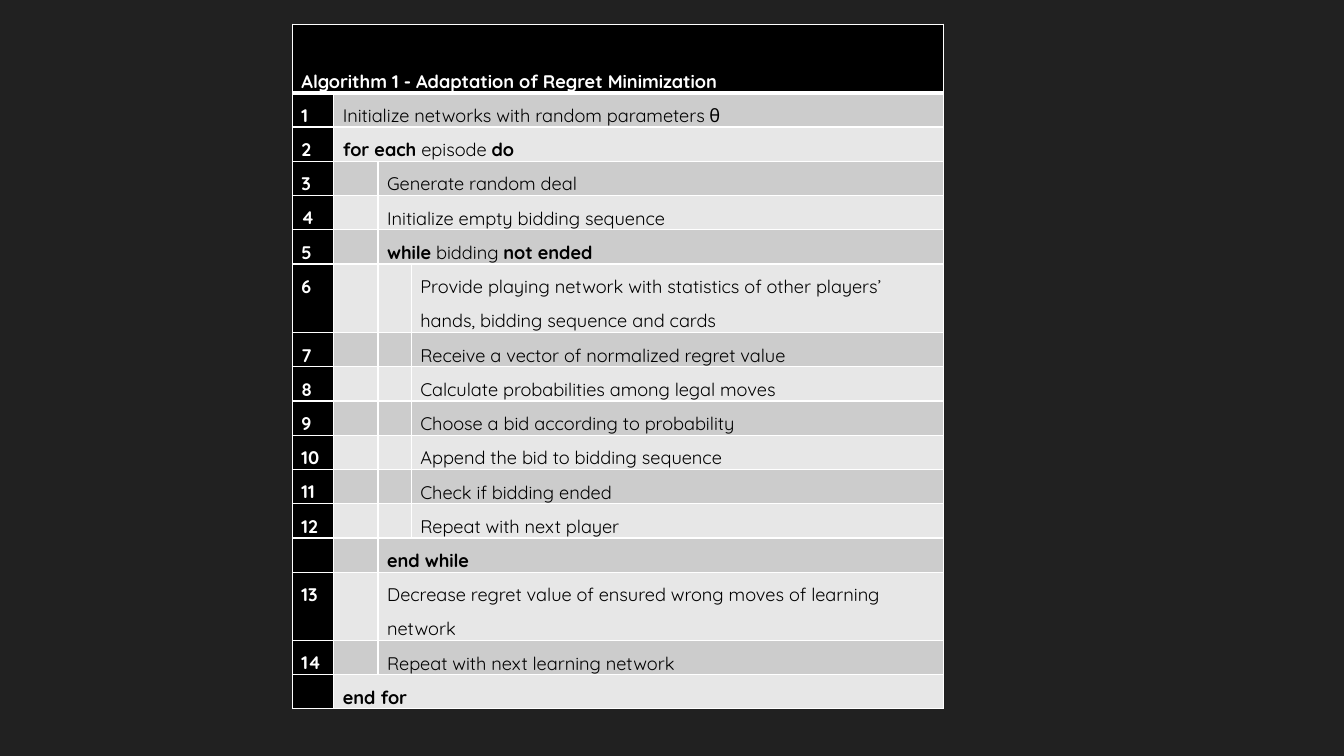
import pptx
import pptx.dml.color
import pptx.enum.text
import pptx.oxml
import pptx.oxml.ns
import pptx.util
from dataclasses import dataclass

Inches = pptx.util.Inches
ANCHOR = pptx.enum.text.MSO_ANCHOR


@dataclass(frozen=True)
class Theme:
    """Colours, font and sizes of the slide."""
    background: str = "212121"
    dark: str = "000000"
    light: str = "FFFFFF"
    bands: tuple = ("CCCCCC", "E7E7E7")
    font: str = "Quicksand"
    size: int = 13
    border: int = 1
    header_border: int = 3


THEME = Theme()
TITLE = "Algorithm 1 - Adaptation of Regret Minimization"
COLUMNS = (0.41, 0.44, 0.33, 5.28)
HEADER_HEIGHT, ROW_HEIGHT = 0.68, 0.34
TALL_ROWS = {6: 0.68, 14: 0.64}

# Each step: line number, indent depth, (text, bold) runs
STEPS = [
    ("1", 1, [("Initialize networks with random parameters θ", False)]),
    ("2", 1, [("for each ", True), ("episode ", False), ("do", True)]),
    ("3", 2, [("Generate random deal", False)]),
    ("4", 2, [("Initialize empty bidding sequence", False)]),
    ("5", 2, [("while", True), (" bidding ", False), ("not ended", True)]),
    ("6", 3, [("Provide playing network with statistics of other players’ "
               "hands, bidding sequence and cards", False)]),
    ("7", 3, [("Receive a vector of normalized regret value", False)]),
    ("8", 3, [("Calculate probabilities among legal moves", False)]),
    ("9", 3, [("Choose a bid according to probability", False)]),
    ("10", 3, [("Append the bid to bidding sequence", False)]),
    ("11", 3, [("Check if bidding ended", False)]),
    ("12", 3, [("Repeat with next player", False)]),
    ("", 2, [("end while", True)]),
    ("13", 2, [("Decrease regret value of ensured wrong moves of learning network", False)]),
    ("14", 2, [("Repeat with next learning network", False)]),
    ("", 1, [("end for", True)]),
]


def rgb(value):
    """Return a colour from its hex value."""
    return pptx.dml.color.RGBColor.from_string(value)


def style_cell(cell, fill, top=THEME.border, bottom=THEME.border):
    """Set the margins, borders and fill of a cell."""
    cell.margin_left = cell.margin_right = Inches(0.09)
    cell.margin_top = cell.margin_bottom = 0
    tcPr = cell._tc.get_or_add_tcPr()
    widths = {"L": THEME.border, "R": THEME.border, "T": top, "B": bottom}
    for side, width in widths.items():
        tcPr.append(pptx.oxml.parse_xml(
            f'<a:ln{side} {pptx.oxml.ns.nsdecls("a")} w="{pptx.util.Pt(width)}">'
            f'<a:solidFill><a:srgbClr val="{THEME.light}"/></a:solidFill>'
            f'</a:ln{side}>'))
    cell.fill.solid()
    cell.fill.fore_color.rgb = rgb(fill)


def write_cell(cell, runs, color, anchor):
    """Write the runs into a cell."""
    cell.vertical_anchor = anchor
    p = cell.text_frame.paragraphs[0]
    p.line_spacing = 1.5
    for text, bold in runs:
        r = p.add_run()
        r.text = text
        r.font.name = THEME.font
        r.font.size = pptx.util.Pt(THEME.size)
        r.font.bold = bold
        r.font.color.rgb = rgb(color)


def add_algorithm(s, left, top, width, height):
    """Draw the algorithm table in the given box."""
    last = len(COLUMNS) - 1
    table = s.shapes.add_table(len(STEPS) + 1, len(COLUMNS), Inches(left),
                               Inches(top), Inches(width), Inches(height)).table
    table.first_row = table.horz_banding = False
    for column, share in zip(table.columns, COLUMNS):
        column.width = Inches(width * share / sum(COLUMNS))

    table.rows[0].height = Inches(HEADER_HEIGHT)
    for col in range(len(COLUMNS)):
        style_cell(table.cell(0, col), THEME.dark, bottom=THEME.header_border)
    table.cell(0, 0).merge(table.cell(0, last))
    write_cell(table.cell(0, 0), [(TITLE, True)], THEME.light, ANCHOR.BOTTOM)

    for row, (number, depth, runs) in enumerate(STEPS, 1):
        table.rows[row].height = Inches(TALL_ROWS.get(row, ROW_HEIGHT))
        band = THEME.bands[(row - 1) % 2]
        edge = THEME.header_border if row == 1 else THEME.border
        for col in range(len(COLUMNS)):
            style_cell(table.cell(row, col), band if col else THEME.dark, top=edge)
        if number:
            write_cell(table.cell(row, 0), [(number, True)], THEME.light, ANCHOR.TOP)
        if depth < last:
            table.cell(row, depth).merge(table.cell(row, last))
        write_cell(table.cell(row, depth), runs, THEME.dark, ANCHOR.MIDDLE)


def main():
    """Build and save the presentation."""
    prs = pptx.Presentation()
    prs.slide_width, prs.slide_height = Inches(13.33), Inches(7.5)
    s = prs.slides.add_slide(prs.slide_layouts[6])
    s.background.fill.solid()
    s.background.fill.fore_color.rgb = rgb(THEME.background)
    add_algorithm(s, 2.9, 0.24, 6.46, 6.76)
    prs.save("out.pptx")


if __name__ == "__main__":
    main()
